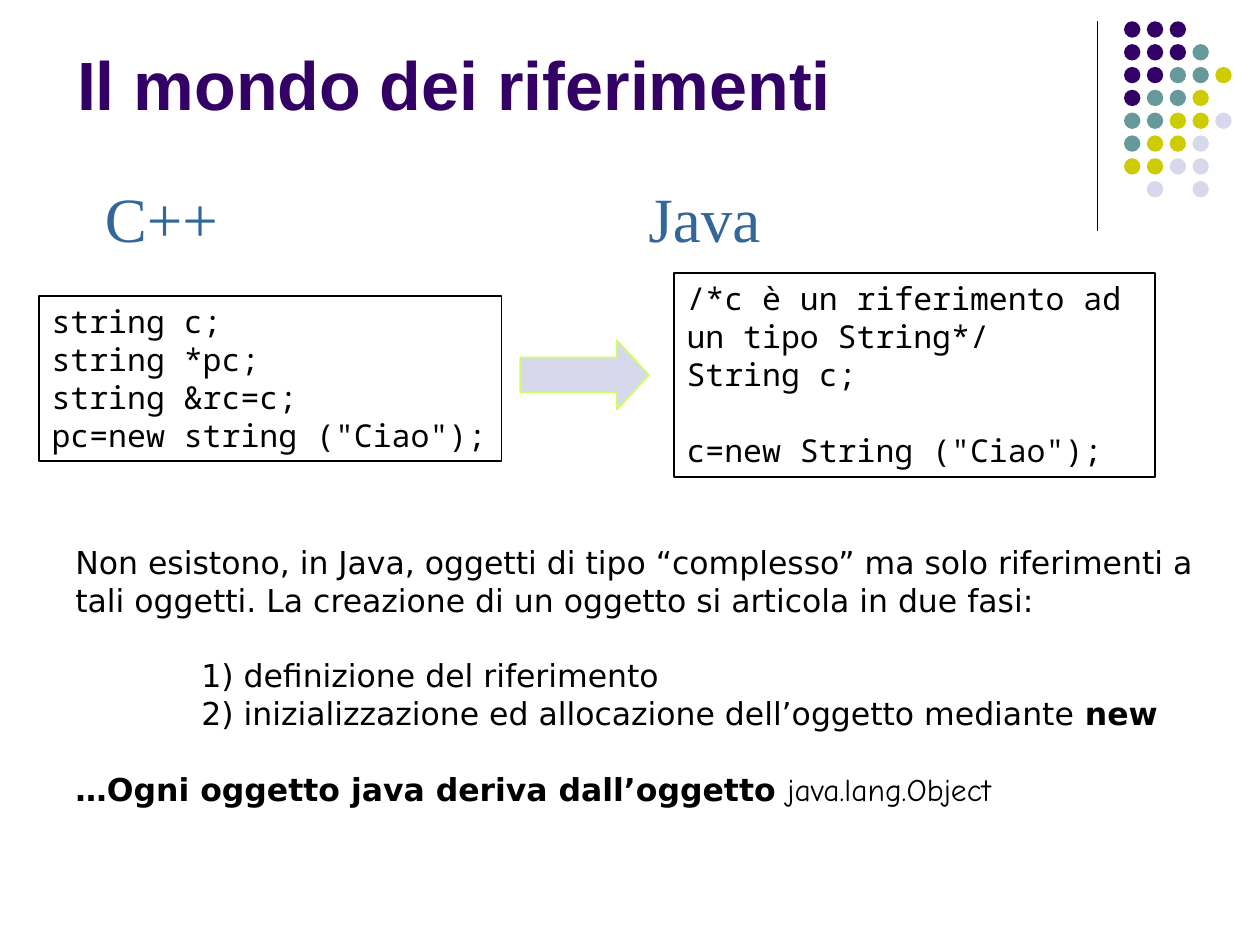
from dataclasses import dataclass

import pptx
import pptx.dml.color
import pptx.enum.shapes
import pptx.enum.text
import pptx.oxml.ns
import pptx.util
from lxml import etree

Cm, Pt = pptx.util.Cm, pptx.util.Pt
SHAPES = pptx.enum.shapes.MSO_SHAPE
ALIGN = pptx.enum.text.PP_ALIGN
ANCHOR = pptx.enum.text.MSO_ANCHOR

BLACK, PURPLE, TEAL, OLIVE = "000000", "330066", "669999", "CCCC00"
LAVENDER, BLUE, LIME = "D8D8EC", "336699", "CCFF66"
LINE_PITCH = 21.6

DOT_COLORS = {"P": PURPLE, "T": TEAL, "O": OLIVE, "L": LAVENDER}
DOT_ROWS = ["PPP", "PPPT", "PPTTO", "PTTO", "TTOOL", "TOOL", "OOLL", ".L.L"]
DOT_LEFT, DOT_TOP, DOT_PITCH, DOT_SIZE = 22.66, 0.43, 0.46, 0.33


@dataclass
class Box:
    """A rectangle in centimetres."""
    left: float
    top: float
    width: float
    height: float

    def lengths(self):
        return [Cm(v) for v in (self.left, self.top, self.width, self.height)]


@dataclass
class Run:
    text: str
    bold: bool = False
    font: str = "DejaVu Sans"


@dataclass
class Paragraph:
    runs: list[Run]
    gap_before: bool = False
    indent: float = 0


@dataclass
class Language:
    name: str
    heading: Box
    code_box: Box
    code: list[Paragraph]


def code_lines(*lines: str) -> list[Paragraph]:
    """Make code paragraphs; an empty line becomes a gap before the next one."""
    return [Paragraph([Run(line, font="Noto Sans Mono")], i > 0 and not lines[i - 1])
            for i, line in enumerate(lines) if line]


LANGUAGES = [
    Language("C++", Box(2.11, 3.33, 2.29, 1.45), Box(0.79, 5.97, 9.32, 3.33),
             code_lines("string c;", "string *pc;", "string &rc=c;",
                        'pc=new string ("Ciao");')),
    Language("Java", Box(12.7, 3.33, 3, 1.65), Box(13.59, 5.51, 9.7, 4.11),
             code_lines("/*c è un riferimento ad", "un tipo String*/", "String c;", "",
                        'c=new String ("Ciao");')),
]

EXPLANATION = [
    Paragraph([Run("Non esistono, in Java, oggetti di tipo “complesso” ma solo riferimenti a "
                   "tali oggetti. La creazione di un oggetto si articola in due fasi:")]),
    Paragraph([Run("1) definizione del riferimento")], gap_before=True, indent=2.54),
    Paragraph([Run("2) inizializzazione ed allocazione dell’oggetto mediante "),
               Run("new", bold=True)], indent=2.54),
    Paragraph([Run("…Ogni oggetto java deriva dall’oggetto ", bold=True),
               Run("java.lang.Object", font="Comic Neue")], gap_before=True),
]


def rgb(value: str):
    return pptx.dml.color.RGBColor.from_string(value)


def write(frame, paragraphs: list[Paragraph], *, size: float, color: str = BLACK,
          align=ALIGN.LEFT, anchor=ANCHOR.TOP, wrap: bool = True, pitch: float | None = None):
    frame.word_wrap = wrap
    frame.auto_size = pptx.enum.text.MSO_AUTO_SIZE.NONE
    frame.vertical_anchor = anchor
    for i, content in enumerate(paragraphs):
        paragraph = frame.add_paragraph() if i else frame.paragraphs[0]
        paragraph.alignment = align
        if pitch:
            paragraph.line_spacing = Pt(pitch)
        if content.gap_before:
            paragraph.space_before = Pt(LINE_PITCH)
        if content.indent:
            paragraph._p.get_or_add_pPr().set("marL", str(Cm(content.indent)))
        for piece in content.runs:
            run = paragraph.add_run()
            run.text = piece.text
            run.font.name = piece.font
            run.font.size = Pt(size)
            run.font.bold = piece.bold
            run.font.color.rgb = rgb(color)


def add_figure(shapes, kind, box: Box, *, fill: str | None = None,
               line: str | None = None):
    figure = shapes.add_shape(kind, *box.lengths())
    figure.shadow.inherit = False
    if fill:
        figure.fill.solid()
        figure.fill.fore_color.rgb = rgb(fill)
    else:
        figure.fill.background()
    if line:
        figure.line.color.rgb = rgb(line)
        figure.line.width = Pt(1)
    else:
        figure.line.fill.background()
    return figure


def add_decoration(shapes):
    """Draw the vertical rule and the dot pattern in the corner."""
    rule = shapes.add_connector(pptx.enum.shapes.MSO_CONNECTOR.STRAIGHT,
                                Cm(22.12), Cm(0.43), Cm(22.12), Cm(4.65))
    rule.line.color.rgb = rgb(BLACK)
    rule.line.width = Pt(0.75)
    etree.SubElement(rule._element.spPr, pptx.oxml.ns.qn("a:effectLst"))
    dots = shapes.add_group_shape().shapes
    for row, letters in enumerate(DOT_ROWS):
        for column, letter in enumerate(letters):
            if letter in DOT_COLORS:
                box = Box(DOT_LEFT + column * DOT_PITCH, DOT_TOP + row * DOT_PITCH,
                          DOT_SIZE, DOT_SIZE)
                add_figure(dots, SHAPES.OVAL, box, fill=DOT_COLORS[letter])


def add_language(shapes, language: Language):
    code = add_figure(shapes, SHAPES.RECTANGLE, language.code_box, line=BLACK)
    write(code.text_frame, language.code, size=18, pitch=LINE_PITCH)
    heading = shapes.add_textbox(*language.heading.lengths()).text_frame
    heading.margin_top, heading.margin_bottom = Cm(0.28), 0
    write(heading, [Paragraph([Run(language.name, font="Times New Roman")])],
          size=36, color=BLUE, align=ALIGN.CENTER, wrap=False)


def main():
    deck = pptx.Presentation()
    deck.slide_width, deck.slide_height = Cm(25.4), Cm(19.05)
    slide = deck.slides.add_slide(deck.slide_layouts[5])
    shapes = slide.shapes
    add_decoration(shapes)

    title = shapes.title
    title.left, title.top, title.width, title.height = Box(1.3, -0.97, 20.96, 3.61).lengths()
    write(title.text_frame,
          [Paragraph([Run("Il mondo dei riferimenti", bold=True, font="Arial")])],
          size=39, color=PURPLE, anchor=ANCHOR.BOTTOM)

    for language in LANGUAGES:
        add_language(shapes, language)
    arrow = add_figure(shapes, SHAPES.RIGHT_ARROW, Box(10.49, 6.86, 2.59, 1.4),
                       fill=LAVENDER, line=LIME)
    arrow.adjustments[1] = 0.46

    explanation = shapes.add_textbox(*Box(1.27, 10.82, 23.85, 5.64).lengths())
    write(explanation.text_frame, EXPLANATION, size=18, pitch=LINE_PITCH)
    deck.save("out.pptx")


if __name__ == "__main__":
    main()
